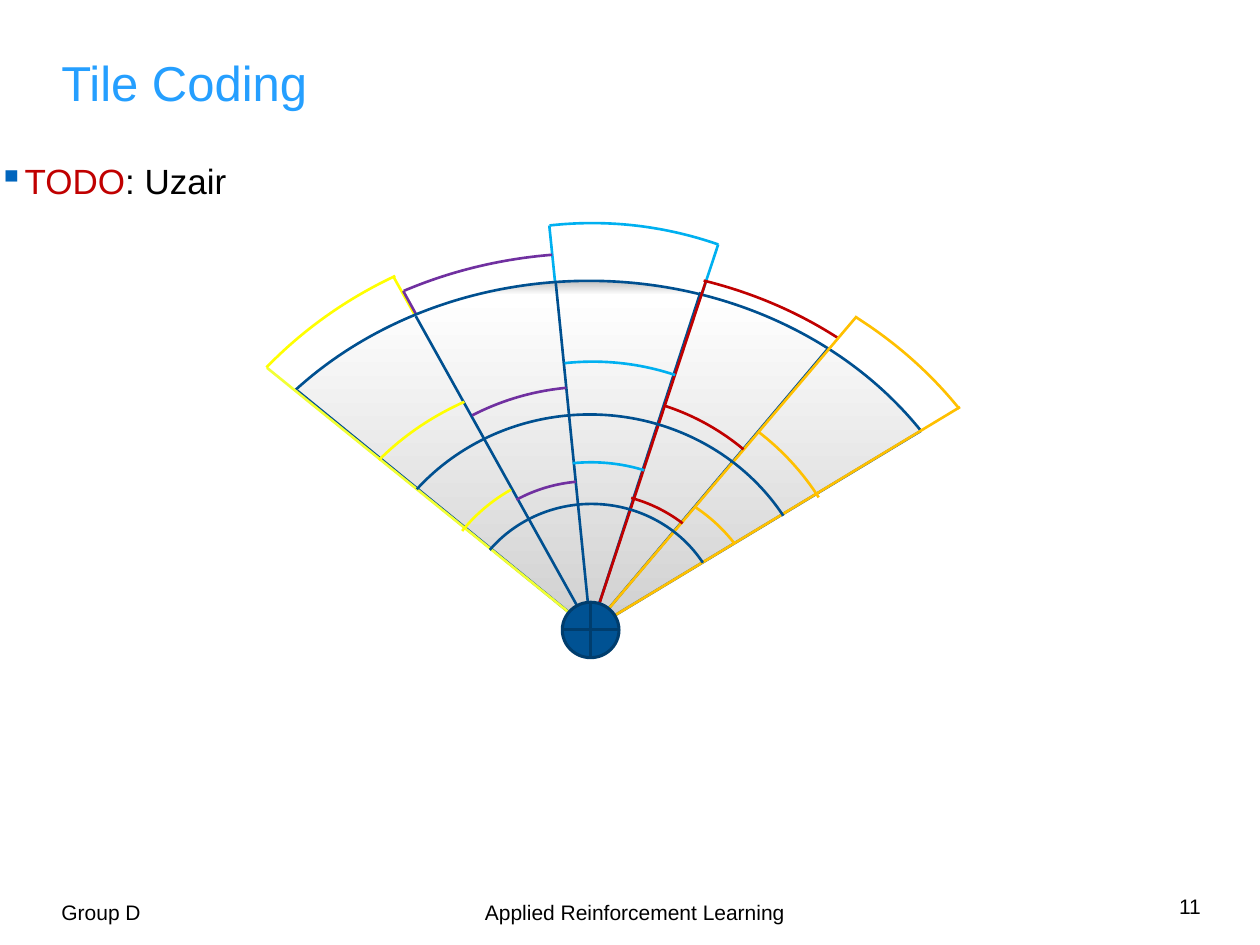
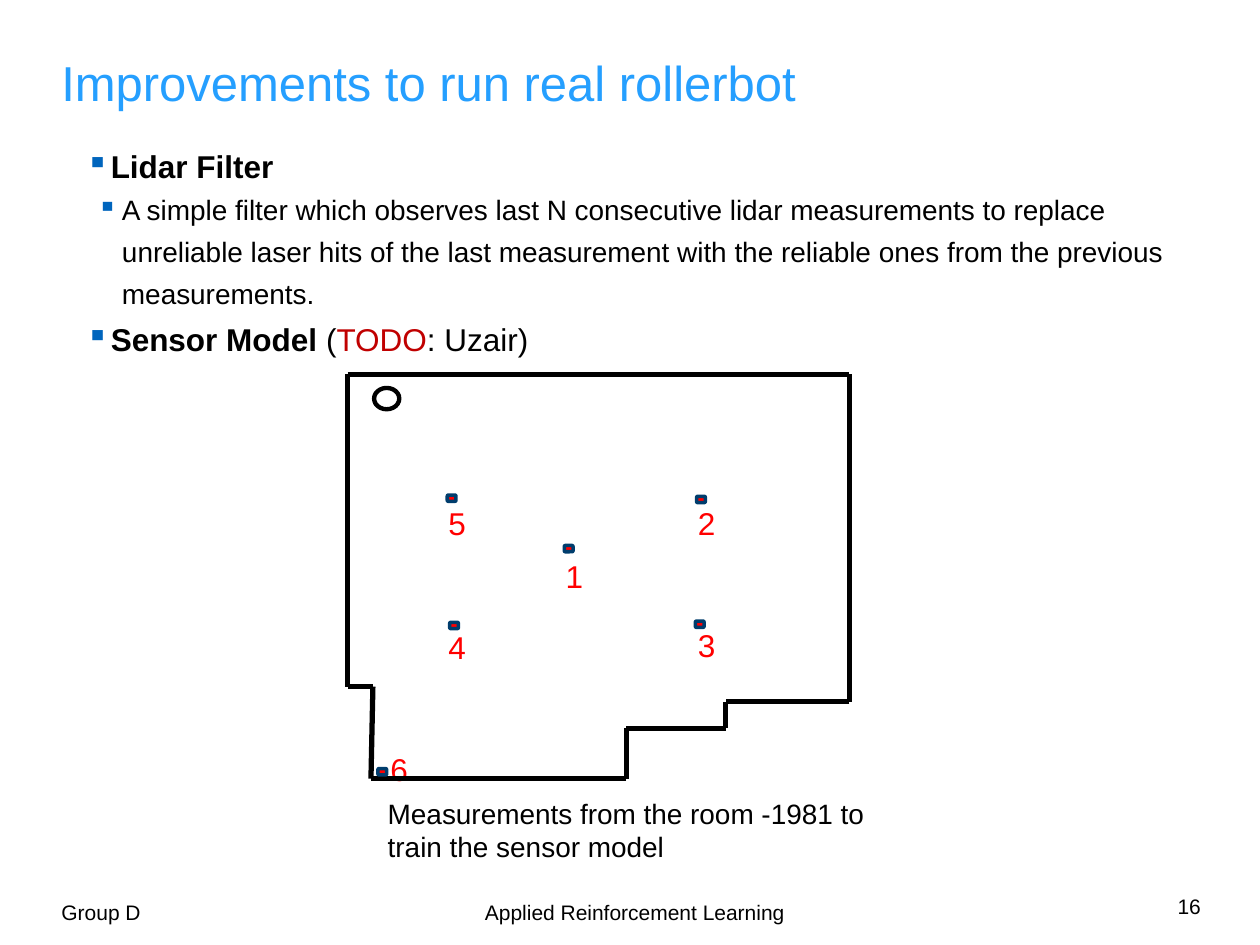
from dataclasses import dataclass

from lxml import etree
from pptx import Presentation
from pptx.dml.color import RGBColor
from pptx.enum.shapes import MSO_CONNECTOR as Connector, MSO_SHAPE as Preset
from pptx.enum.text import MSO_ANCHOR as Anchor, PP_ALIGN as Align
from pptx.oxml import parse_xml
from pptx.oxml.ns import nsdecls, qn
from pptx.util import Pt

FONT = "Arial"
BLACK = RGBColor(0x00, 0x00, 0x00)
WHITE = RGBColor(0xFF, 0xFF, 0xFF)
TITLE_BLUE = RGBColor(0x25, 0x9F, 0xFF)
BULLET_BLUE = RGBColor(0x00, 0x65, 0xBD)
TODO_RED = RGBColor(0xC0, 0x00, 0x00)
LABEL_RED = RGBColor(0xFF, 0x00, 0x00)
GRID_BLUE = RGBColor(0x00, 0x50, 0x90)
HUB_BLUE = RGBColor(0x00, 0x52, 0x93)
DARK_BLUE = RGBColor(0x00, 0x3D, 0x6D)
CYAN = RGBColor(0x00, 0xB0, 0xF0)
PURPLE = RGBColor(0x70, 0x30, 0xA0)
ORANGE = RGBColor(0xFF, 0xC0, 0x00)
YELLOW = RGBColor(0xFF, 0xFF, 0x00)
LIME = RGBColor(0xF2, 0xFF, 0x35)
FAN_STOPS = [
    (0, RGBColor(0xBF, 0xBF, 0xBF)),
    (2, WHITE),
    (89, RGBColor(0xA6, 0xA6, 0xA6)),
]


@dataclass
class Box:
    left: float
    top: float
    width: float
    height: float

    def lengths(self):
        return [Pt(value) for value in (self.left, self.top, self.width, self.height)]

    def inner(self, left, top, width, height):
        return Box(self.left + left, self.top + top, width, height)

    def around(self, x, y, width, height):
        return self.inner(x - width / 2, y - height / 2, width, height)


PAGE = Box(0, 0, 720, 540)
TITLE_BOX = Box(28, 28.8, 564.5, 28)
FOOTER_BOX = Box(28, 507, 620.6, 28)
NUMBER_BOX = Box(648.7, 507, 44.6, 28)
FOOTER_TAB = 242

SECTOR_ARCS = [
    (0.5, 0, 474.5, 414.7, 287.8, 310.2, TODO_RED),
    (-0.9, -0.4, 461.5, 398.2, 219, 329.1, GRID_BLUE),
    (-0.5, -0.4, 260.6, 245.5, 219, 329.6, GRID_BLUE),
    (0.5, 0, 150.5, 144, 218.2, 328.9, GRID_BLUE),
    (0.5, 0.4, 304.6, 291.6, 310.1, 329.6, ORANGE),
    (0.5, 0.4, 198, 176.4, 310.3, 328.9, ORANGE),
    (-0.5, 0, 514.1, 443.5, 310.4, 329.1, ORANGE),
    (0.5, -0.4, 270, 268.6, 288.1, 310.2, TODO_RED),
    (0.5, 1.1, 166.3, 159.1, 286.5, 310, TODO_RED),
    (0.9, 0.4, 450.7, 465.8, 264, 288.1, CYAN),
    (1.3, 1.8, 303.1, 310.3, 264, 287.7, CYAN),
    (0.2, 0, 491, 430.6, 241.1, 264.1, PURPLE),
    (-0.2, 0.7, 287.3, 279.4, 241.3, 264.4, PURPLE),
    (-0.5, -0.4, 172.8, 169.2, 240.5, 264.7, PURPLE),
    (0.2, -1.1, 198.7, 189.4, 263.7, 288.7, CYAN),
    (2.7, 2.2, 501.8, 459.4, 219, 240.8, YELLOW),
    (-0.5, 0.4, 324, 291.6, 219, 241.3, YELLOW),
    (3.1, 3.6, 195.8, 193, 218.2, 239.9, YELLOW),
]
FAN_ARC = 1
RAYS_BEHIND = [
    (-112.9, -202.3, YELLOW),
    (-23.6, -231.1, CYAN),
    (-107.1, -193.7, PURPLE),
    (72.9, -220.3, CYAN),
]
RAYS_IN_FRONT = [
    (188.8, -113.8, GRID_BLUE),
    (-167.6, -136.8, GRID_BLUE),
    (-99.9, -179.3, GRID_BLUE),
    (-20, -199.4, GRID_BLUE),
    (62.8, -193, GRID_BLUE),
    (135.5, -160.6, GRID_BLUE),
    (211.1, -127.4, ORANGE),
    (152.1, -179.3, ORANGE),
    (65.7, -198.7, TODO_RED),
    (-184.9, -149.8, LIME),
]

ROOM_CORNERS = [
    (0, 0), (286.6, 0), (286.6, 187.2), (216, 187.2), (216, 202.3),
    (159.1, 202.3), (159.1, 231.1), (13.3, 231.1), (14.4, 178.6), (0, 178.6),
]
MEASURING_POINTS = [
    ("1", (123.8, 97.9), (117.4, 100.8)),
    ("2", (199.4, 69.8), (193, 70.6)),
    ("3", (198.7, 141.1), (193, 140.4)),
    ("4", (58.3, 141.8), (50.4, 141.8)),
    ("5", (56.9, 69.1), (50.4, 70.6)),
    ("6", (17.3, 225.4), (17.3, 211)),
]


def apply(target, **values):
    for name, value in values.items():
        setattr(target, name, value)


def add_run(paragraph, text, size, color=BLACK, bold=False):
    run = paragraph.add_run()
    run.text = text
    apply(run.font, name=FONT, size=Pt(size), bold=bold)
    run.font.color.rgb = color


def add_text(slide, box, text, size, color=BLACK, frame=None, paragraph=None):
    text_frame = slide.shapes.add_textbox(*box.lengths()).text_frame
    apply(text_frame, **{"word_wrap": True, **(frame or {})})
    first = text_frame.paragraphs[0]
    apply(first, **(paragraph or {}))
    add_run(first, text, size, color)
    return first


def add_bullets(slide, box, items):
    text_frame = slide.shapes.add_textbox(*box.lengths()).text_frame
    text_frame.word_wrap = True
    for index, (margin, runs) in enumerate(items):
        paragraph = text_frame.add_paragraph() if index else text_frame.paragraphs[0]
        paragraph.line_spacing = 1.25
        properties = paragraph._p.get_or_add_pPr()
        properties.set("marL", str(Pt(margin)))
        properties.set("indent", str(Pt(-14.2)))
        color = etree.SubElement(properties, qn("a:buClr"))
        etree.SubElement(color, qn("a:srgbClr"), val=str(BULLET_BLUE))
        etree.SubElement(properties, qn("a:buChar"), char="▪")
        for run in runs:
            add_run(paragraph, *run)


def add_preset(slide, preset, box, line_color, line_width, fill_color=None):
    shape = slide.shapes.add_shape(preset, *box.lengths())
    shape.shadow.inherit = False
    if fill_color is None:
        shape.fill.background()
    else:
        shape.fill.solid()
        shape.fill.fore_color.rgb = fill_color
    shape.line.color.rgb = line_color
    shape.line.width = Pt(line_width)
    return shape


def add_line(slide, box, start, end, color, width):
    points = [Pt(value) for x, y in (start, end) for value in (box.left + x, box.top + y)]
    connector = slide.shapes.add_connector(Connector.STRAIGHT, *points)
    connector.line.color.rgb = color
    connector.line.width = Pt(width)
    etree.SubElement(connector._element.spPr, qn("a:effectLst"))


def add_arc(slide, apex, arc):
    x, y, width, height, start, end, color = arc
    shape = add_preset(slide, Preset.ARC, apex.around(x, y, width, height), color, 1.5)
    for index, angle in enumerate((start, end)):
        shape.adjustments[index] = angle * 0.6
    return shape


def shade_fan(shape):
    shape.fill.gradient()
    shape.fill.gradient_angle = 270
    stops = "".join(
        f'<a:gs pos="{percent * 1000}"><a:srgbClr val="{color}"/></a:gs>'
        for percent, color in FAN_STOPS
    )
    stop_list = shape._element.spPr.find(".//" + qn("a:gsLst"))
    new_list = parse_xml(f"<a:gsLst {nsdecls('a')}>{stops}</a:gsLst>")
    stop_list.getparent().replace(stop_list, new_list)


def add_sensor_fan(slide, box):
    apex = box.inner(box.width / 2, box.height / 2, 0, 0)

    def add_rays(rays):
        for x, y, color in rays:
            add_line(slide, apex, (0, 0), (x, y), color, 1.5)

    add_rays(RAYS_BEHIND)
    arcs = SECTOR_ARCS[:FAN_ARC + 1]
    shapes = [add_arc(slide, apex, arc) for arc in arcs]
    shade_fan(shapes[FAN_ARC])
    add_rays(RAYS_IN_FRONT)
    for arc in SECTOR_ARCS[FAN_ARC + 1:]:
        add_arc(slide, apex, arc)
    add_preset(slide, Preset.FLOWCHART_OR, apex.around(0, 0, 32.4, 31.7),
               DARK_BLUE, 1.75, HUB_BLUE)


def add_room_plan(slide, box):
    for number, _, (left, top) in MEASURING_POINTS:
        add_text(slide, box.inner(left, top, 25.2, 26.6), number, 18, LABEL_RED,
                 frame={"word_wrap": False})
    add_text(slide, box.inner(15.8, 237.6, 314.6, 42.5),
             "Measurements from the room -1981 to train the sensor model", 16)
    for start, end in zip(ROOM_CORNERS, ROOM_CORNERS[1:] + ROOM_CORNERS[:1]):
        add_line(slide, box, start, end, BLACK, 3)
    add_preset(slide, Preset.OVAL, box.inner(15.1, 7.9, 14.4, 12.2), BLACK, 2.5, WHITE)
    for _, (left, top), _ in MEASURING_POINTS:
        add_preset(slide, Preset.ROUNDED_RECTANGLE, box.inner(left, top, 5, 3.6),
                   DARK_BLUE, 2, LABEL_RED)


def add_base_slide(presentation, title, number):
    slide = presentation.slides.add_slide(presentation.slide_layouts[6])
    middle = {"vertical_anchor": Anchor.MIDDLE}
    footer = add_text(slide, FOOTER_BOX, "Group D\tApplied Reinforcement Learning", 12,
                      frame=middle)
    tabs = etree.SubElement(footer._p.get_or_add_pPr(), qn("a:tabLst"))
    etree.SubElement(tabs, qn("a:tab"), pos=str(Pt(FOOTER_TAB)), algn="l")
    add_text(slide, TITLE_BOX, title, 28, TITLE_BLUE, frame=middle,
             paragraph={"line_spacing": 1.25})
    add_text(slide, NUMBER_BOX, number, 12, paragraph={"alignment": Align.RIGHT})
    return slide


def add_tile_coding_slide(presentation):
    slide = add_base_slide(presentation, "Tile Coding", "11")
    add_bullets(slide, Box(-8, 81.4, 663, 394), [
        (14.2, [("TODO", 20, TODO_RED), (": Uzair", 20)]),
    ])
    add_sensor_fan(slide, Box(80, 132, 515, 456))


def add_improvements_slide(presentation):
    slide = add_base_slide(presentation, "Improvements to run real rollerbot", "16")
    add_bullets(slide, Box(28, 75, 663, 139), [
        (28.2, [("Lidar Filter", 18, BLACK, True)]),
        (34.6, [("A simple filter which observes last N consecutive lidar measurements "
                 "to replace unreliable laser hits of the last measurement with the "
                 "reliable ones from the previous measurements.", 16)]),
        (28.2, [("Sensor Model ", 18, BLACK, True), ("(", 18),
                ("TODO", 18, TODO_RED), (": Uzair)", 18)]),
    ])
    add_room_plan(slide, Box(198.7, 213.8, 286.6, 231.1))


def main():
    presentation = Presentation()
    apply(presentation, slide_width=Pt(PAGE.width), slide_height=Pt(PAGE.height))
    add_tile_coding_slide(presentation)
    add_improvements_slide(presentation)
    presentation.save("out.pptx")


if __name__ == "__main__":
    main()
